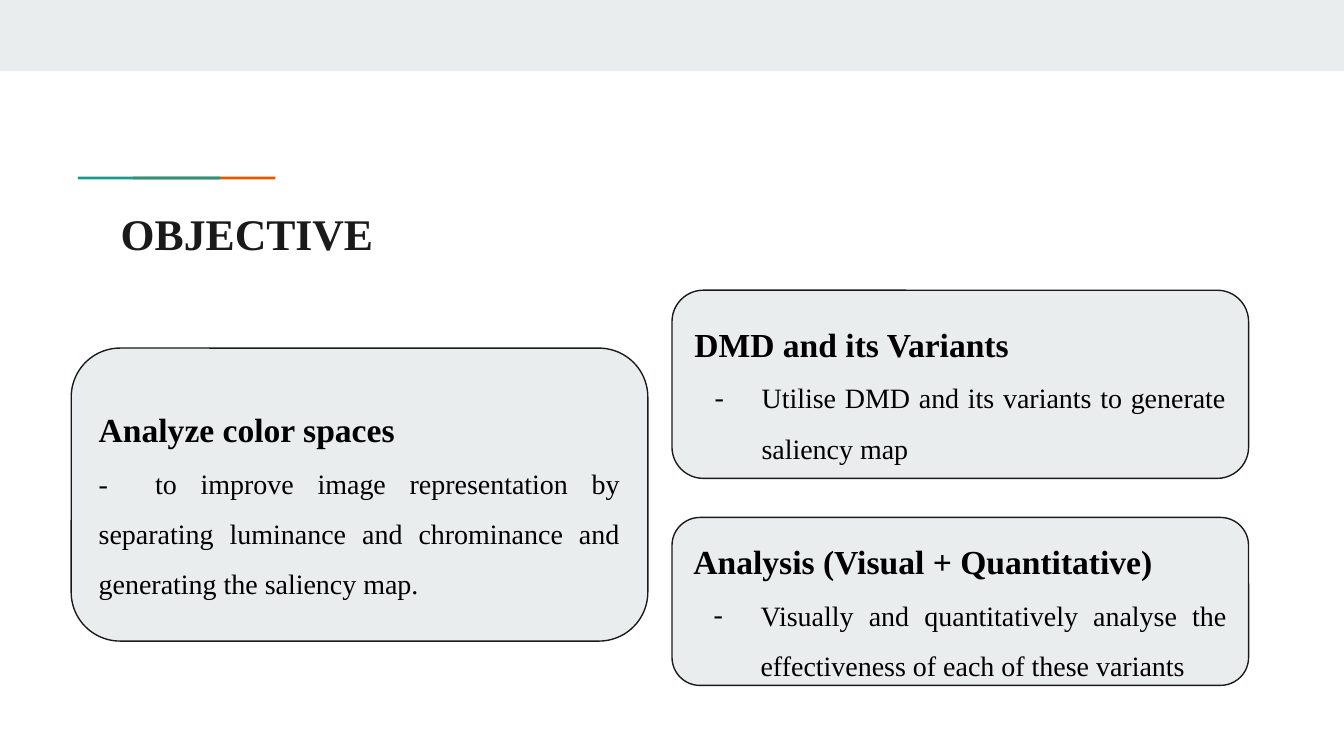
from dataclasses import dataclass

from lxml.etree import SubElement
from pptx import Presentation
from pptx.dml.color import RGBColor
from pptx.enum.shapes import MSO_SHAPE
from pptx.enum.text import MSO_ANCHOR, PP_ALIGN
from pptx.oxml.ns import qn
from pptx.util import Inches, Pt


@dataclass(frozen=True)
class Theme:
    font: str = "Times New Roman"
    panel: str = "E9EDEE"
    ink: str = "1A1A1A"
    text: str = "000000"
    teal: str = "1A9988"
    orange: str = "EB5600"
    title_size: float = 23.4
    heading_size: float = 18
    body_size: float = 15
    outline: float = 0.75


class SlideBuilder:
    """Places elements on a grid of tenth-inch columns and rows."""

    CELL = 0.1

    def __init__(self, slide, theme):
        self.slide = slide
        self.theme = theme

    def box(self, *cells):
        return [Inches(cell * self.CELL) for cell in cells]

    def block(self, column, row, columns, rows, color, kind=MSO_SHAPE.RECTANGLE):
        shape = self.slide.shapes.add_shape(kind, *self.box(column, row, columns, rows))
        shape.shadow.inherit = False
        shape.fill.solid()
        shape.fill.fore_color.rgb = RGBColor.from_string(color)
        shape.line.fill.background()
        return shape

    def prepare_frame(self, shape, anchor):
        frame = shape.text_frame
        frame.word_wrap = True
        frame.vertical_anchor = anchor
        inset = Inches(0.1)
        frame.margin_left = frame.margin_right = inset
        frame.margin_top = frame.margin_bottom = inset
        return frame

    def style(self, paragraph, size, color, bold=False):
        font = paragraph.font
        font.name = self.theme.font
        font.size = Pt(size)
        font.bold = bold
        font.color.rgb = RGBColor.from_string(color)

    def title(self, text, column, row, columns, rows):
        shape = self.slide.shapes.add_textbox(*self.box(column, row, columns, rows))
        paragraph = self.prepare_frame(shape, MSO_ANCHOR.TOP).paragraphs[0]
        paragraph.text = text
        self.style(paragraph, self.theme.title_size, self.theme.ink, bold=True)

    def dash_bullet(self, paragraph):
        properties = paragraph._p.get_or_add_pPr()
        properties.set("marL", str(Inches(0.5)))
        properties.set("indent", str(Inches(-0.35)))
        bullet_color = SubElement(properties, qn("a:buClr"))
        SubElement(bullet_color, qn("a:srgbClr"), val=self.theme.text)
        SubElement(properties, qn("a:buFont"), typeface=self.theme.font)
        SubElement(properties, qn("a:buChar"), char="-")

    def tab_stop(self, paragraph, inches):
        tabs = SubElement(paragraph._p.get_or_add_pPr(), qn("a:tabLst"))
        SubElement(tabs, qn("a:tab"), pos=str(Inches(inches)), algn="l")

    def card(self, heading, body, column, row, columns, rows, bulleted=True):
        theme = self.theme
        shape = self.block(column, row, columns, rows, theme.panel,
                           MSO_SHAPE.ROUNDED_RECTANGLE)
        shape.line.color.rgb = RGBColor.from_string(theme.ink)
        shape.line.width = Pt(theme.outline)
        frame = self.prepare_frame(shape, MSO_ANCHOR.MIDDLE)
        heading_paragraph, body_paragraph = frame.paragraphs[0], frame.add_paragraph()
        heading_paragraph.text, body_paragraph.text = heading, body
        if bulleted:
            self.dash_bullet(body_paragraph)
        else:
            self.tab_stop(body_paragraph, 0.42)
        for paragraph in frame.paragraphs:
            paragraph.alignment = PP_ALIGN.JUSTIFY
            paragraph.line_spacing = 1.5
        self.style(heading_paragraph, theme.heading_size, theme.text, bold=True)
        self.style(body_paragraph, theme.body_size, theme.text)


def main():
    presentation = Presentation()
    # Widescreen, 16 to 9
    presentation.slide_width = Inches(10)
    presentation.slide_height = presentation.slide_width * 9 // 16
    theme = Theme()
    builder = SlideBuilder(
        presentation.slides.add_slide(presentation.slide_layouts[6]), theme)

    # Top band and two-colour accent rule
    builder.block(0, 0, 100, 5.3, theme.panel)
    for column, color in ((9.9, theme.orange), (5.8, theme.teal)):
        builder.block(column, 13.15, 10.6, 0.2, color)

    # Title
    builder.title("OBJECTIVE", 8, 14.4, 84.1, 5.9)

    # Objective cards
    card_columns = 42.9
    builder.card("Analyze color spaces",
                 "-\tto improve image representation by separating luminance "
                 "and chrominance and generating the saliency map.",
                 5.3, 25.9, card_columns, 21.8, bulleted=False)
    right_cards = (
        ("DMD and its Variants",
         "Utilise DMD and its variants to generate saliency map", 21.6, 14),
        ("Analysis (Visual + Quantitative)",
         "Visually and quantitatively analyse the effectiveness of each of these variants",
         38.5, 12.5),
    )
    for heading, body, row, rows in right_cards:
        builder.card(heading, body, 50, row, card_columns, rows)

    presentation.save("out.pptx")


if __name__ == "__main__":
    main()
